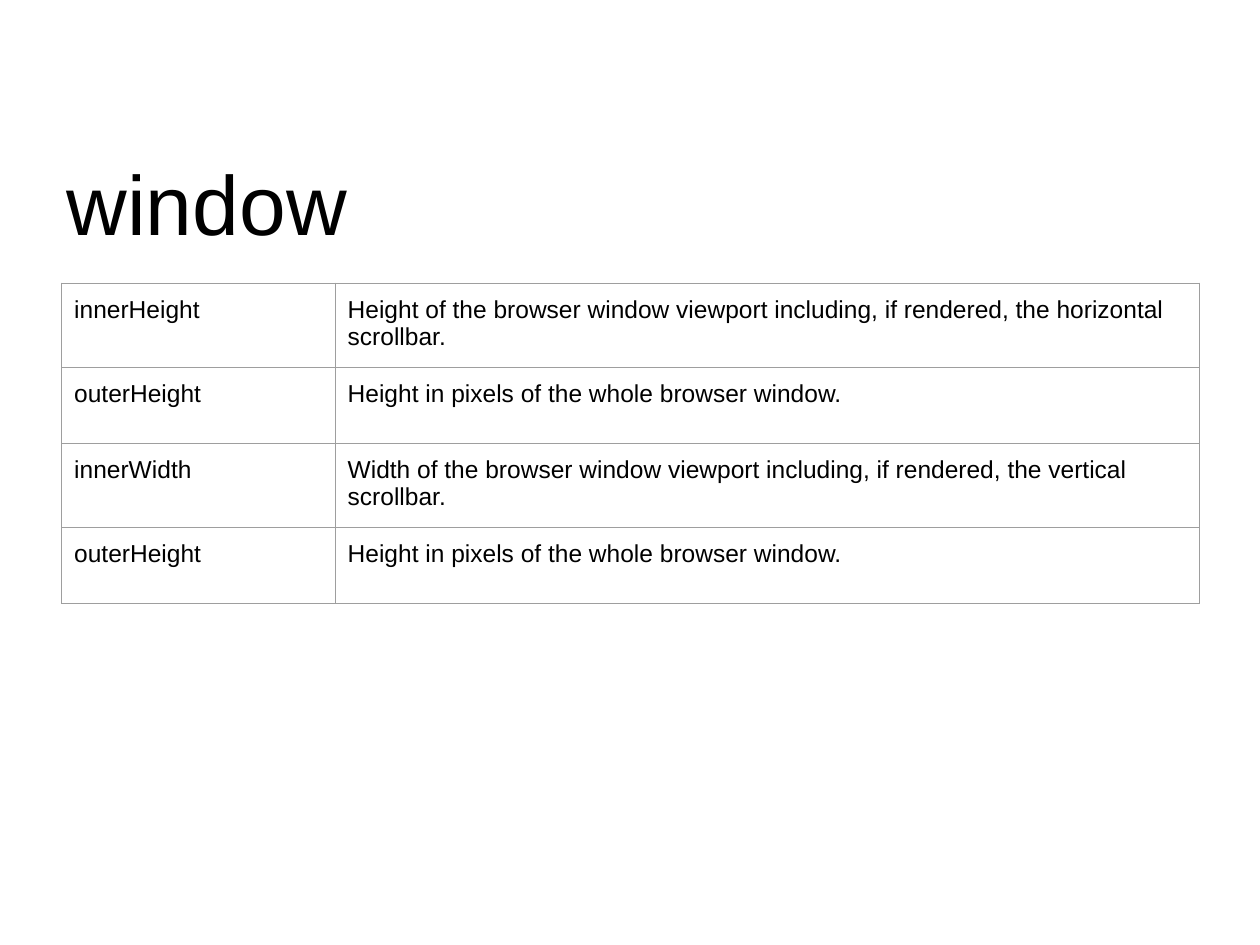
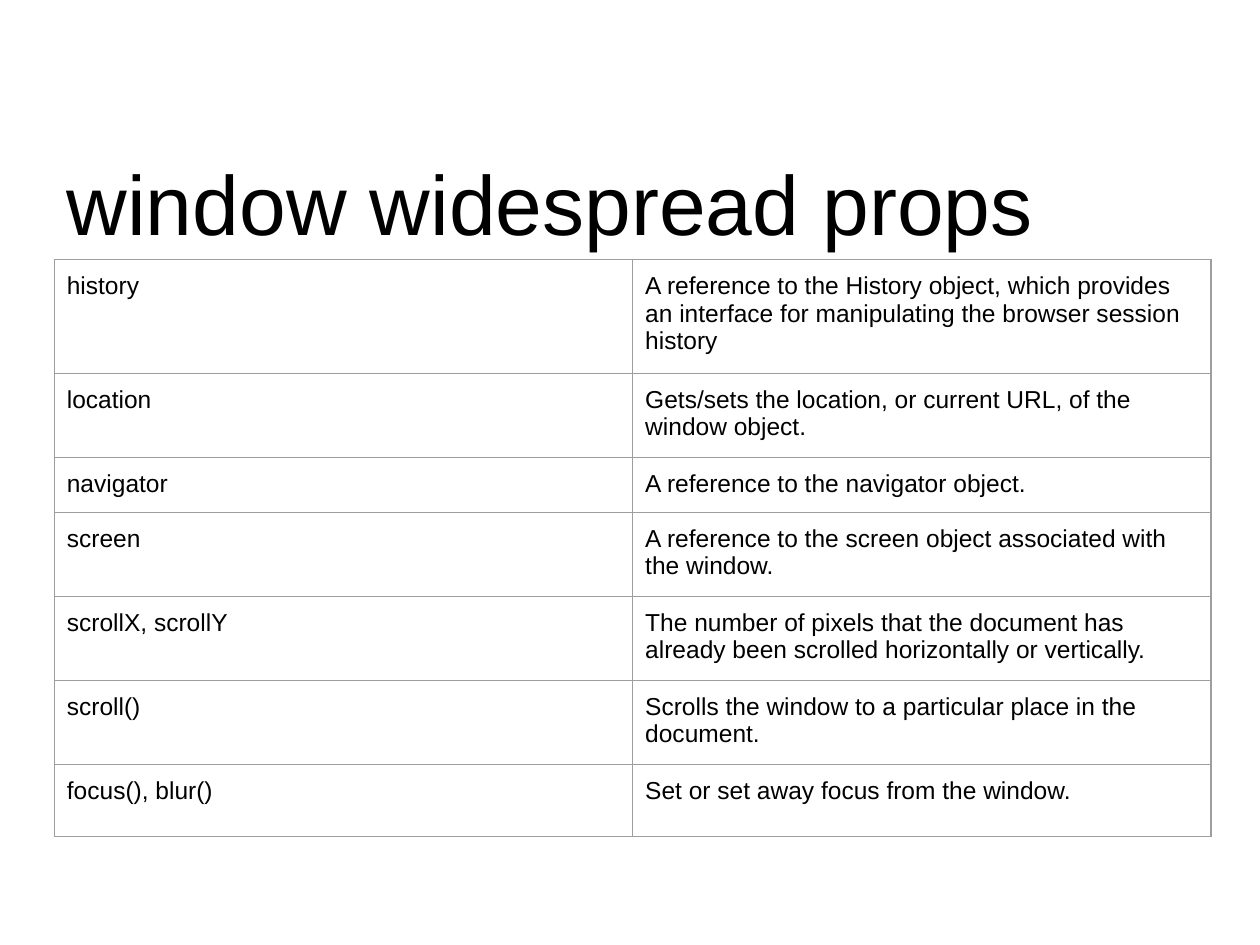
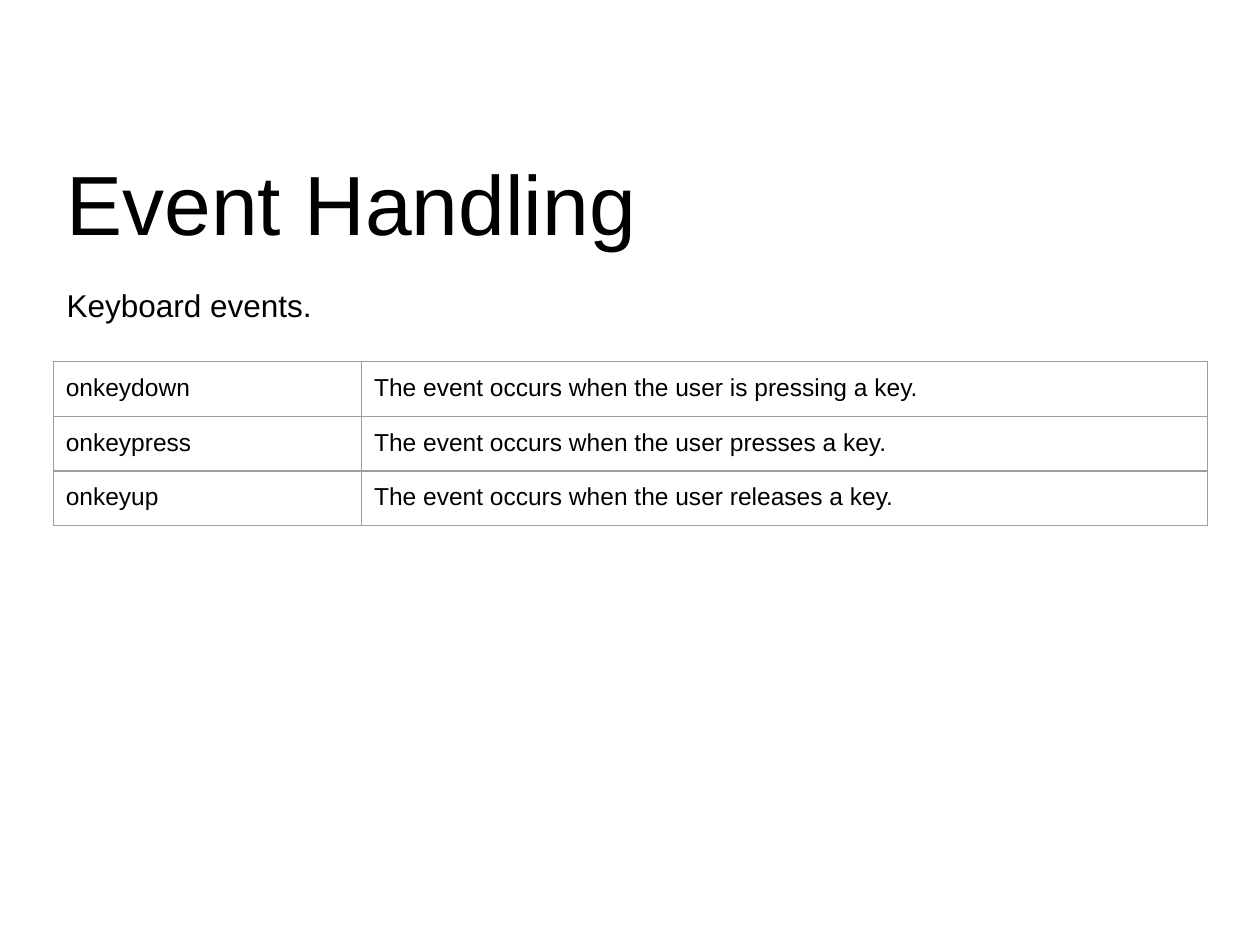
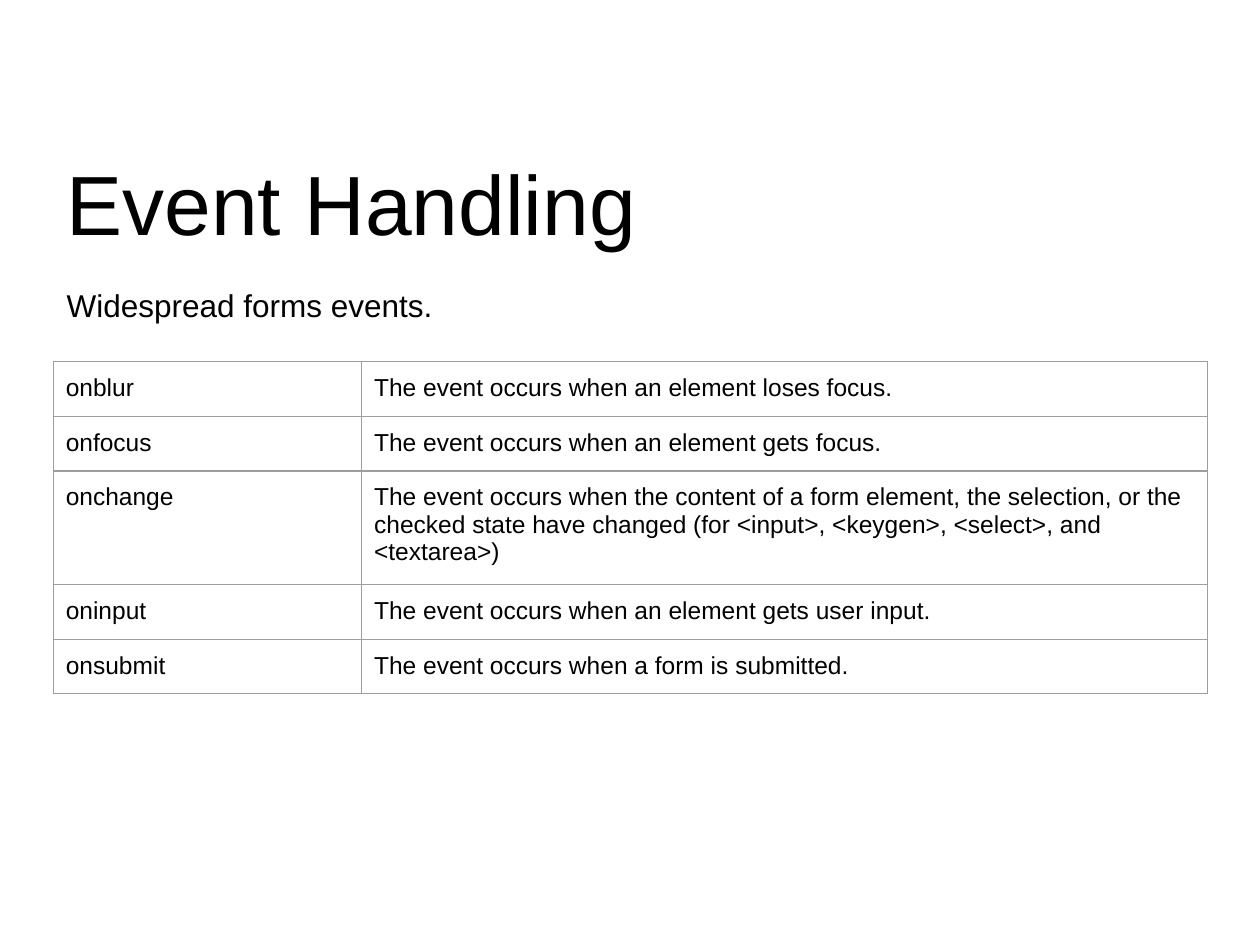
from dataclasses import dataclass

from lxml import etree
from pptx import Presentation
from pptx.dml.color import RGBColor
from pptx.enum.text import MSO_ANCHOR, MSO_AUTO_SIZE
from pptx.oxml.ns import qn
from pptx.util import Pt

TOP = MSO_ANCHOR.TOP
GROW = MSO_AUTO_SIZE.SHAPE_TO_FIT_TEXT

COLORS = {"text": "000000", "border": "9E9E9E", "page": "FFFFFF"}
FONT = "Arial"
INSET = 7.2
BORDER_WIDTH = 0.75
CELL_SIZE = 14
BLANK_LAYOUT = 6


@dataclass(frozen=True)
class TextStyle:
    left: float
    top: float
    width: float
    height: float
    size: float


@dataclass(frozen=True)
class Grid:
    left: float
    top: float
    columns: tuple[float, float]
    row_heights: tuple[float, ...]
    rows: tuple[tuple[str, str], ...]


@dataclass(frozen=True)
class Page:
    title: str
    grid: Grid
    subtitle: str = ""


TITLE = TextStyle(31, 73.4, 669, 67.7, 48)
SUBTITLE = TextStyle(31, 154, 658, 34.6, 18)


def event_grid(*rows: tuple[str, str]) -> Grid:
    return Grid(30.4, 206.7, (176.2, 483.4), (30,) * len(rows), rows)


PAGES = (
    Page("window", Grid(
        35.2, 161.8, (156.3, 493.9), (43.4,) * 4, (
            ("innerHeight", "Height of the browser window viewport including, "
             "if rendered, the horizontal scrollbar."),
            ("outerHeight", "Height in pixels of the whole browser window."),
            ("innerWidth", "Width of the browser window viewport including, "
             "if rendered, the vertical scrollbar."),
            ("outerHeight", "Height in pixels of the whole browser window."),
        ))),
    Page("window widespread props", Grid(
        31, 148.5, (330.5, 330.5), (55.6, 41.4, 27, 41.4, 41.4, 41.4, 41.4), (
            ("history", "A reference to the History object, which provides an "
             "interface for manipulating the browser session history"),
            ("location", "Gets/sets the location, or current URL, of the window object."),
            ("navigator", "A reference to the navigator object."),
            ("screen", "A reference to the screen object associated with the window."),
            ("scrollX, scrollY", "The number of pixels that the document has "
             "already been scrolled horizontally or vertically."),
            ("scroll()", "Scrolls the window to a particular place in the document."),
            ("focus(), blur()", "Set or set away focus from the window."),
        ))),
    Page("Event Handling", event_grid(
        ("onkeydown", "The event occurs when the user is pressing a key."),
        ("onkeypress", "The event occurs when the user presses a key."),
        ("onkeyup", "The event occurs when the user releases a key."),
    ), "Keyboard events."),
    Page("Event Handling", event_grid(
        ("onblur", "The event occurs when an element loses focus."),
        ("onfocus", "The event occurs when an element gets focus."),
        ("onchange", "The event occurs when the content of a form element, the "
         "selection, or the checked state have changed (for <input>, <keygen>, "
         "<select>, and <textarea>)"),
        ("oninput", "The event occurs when an element gets user input."),
        ("onsubmit", "The event occurs when a form is submitted."),
    ), "Widespread forms events."),
)


def write(frame, text: str, size: float) -> None:
    frame.text = text
    font = frame.paragraphs[0].font
    font.name = FONT
    font.size = Pt(size)
    font.bold = False
    font.color.rgb = RGBColor.from_string(COLORS["text"])


def set_insets(target) -> None:
    target.margin_left = target.margin_right = Pt(INSET)
    target.margin_top = target.margin_bottom = Pt(INSET)
    target.vertical_anchor = TOP


def add_text(slide, text: str, style: TextStyle) -> None:
    box = slide.shapes.add_textbox(
        Pt(style.left), Pt(style.top), Pt(style.width), Pt(style.height))
    frame = box.text_frame
    frame.word_wrap = True
    frame.auto_size = GROW
    set_insets(frame)
    write(frame, text, style.size)
    frame.paragraphs[0].line_spacing = 1.1


def add_borders(cell) -> None:
    properties = cell._tc.get_or_add_tcPr()
    for index, side in enumerate(("a:lnL", "a:lnR", "a:lnT", "a:lnB")):
        line = etree.Element(qn(side), w=str(Pt(BORDER_WIDTH)))
        fill = etree.SubElement(line, qn("a:solidFill"))
        etree.SubElement(fill, qn("a:srgbClr"), val=COLORS["border"])
        properties.insert(index, line)


def add_grid(slide, grid: Grid) -> None:
    table = slide.shapes.add_table(
        len(grid.rows), len(grid.columns), Pt(grid.left), Pt(grid.top),
        Pt(sum(grid.columns)), Pt(sum(grid.row_heights))).table
    table.first_row = False
    table.horz_banding = False
    for column, width in zip(table.columns, grid.columns):
        column.width = Pt(width)
    for row, height, texts in zip(table.rows, grid.row_heights, grid.rows):
        row.height = Pt(height)
        for cell, text in zip(row.cells, texts):
            set_insets(cell)
            write(cell.text_frame, text, CELL_SIZE)
            cell.fill.background()
            add_borders(cell)


def main() -> None:
    deck = Presentation()
    deck.slide_width = Pt(720)
    deck.slide_height = Pt(540)
    for page in PAGES:
        slide = deck.slides.add_slide(deck.slide_layouts[BLANK_LAYOUT])
        background = slide.background.fill
        background.solid()
        background.fore_color.rgb = RGBColor.from_string(COLORS["page"])
        add_text(slide, page.title, TITLE)
        if page.subtitle:
            add_text(slide, page.subtitle, SUBTITLE)
        add_grid(slide, page.grid)
    deck.save("out.pptx")


if __name__ == "__main__":
    main()
